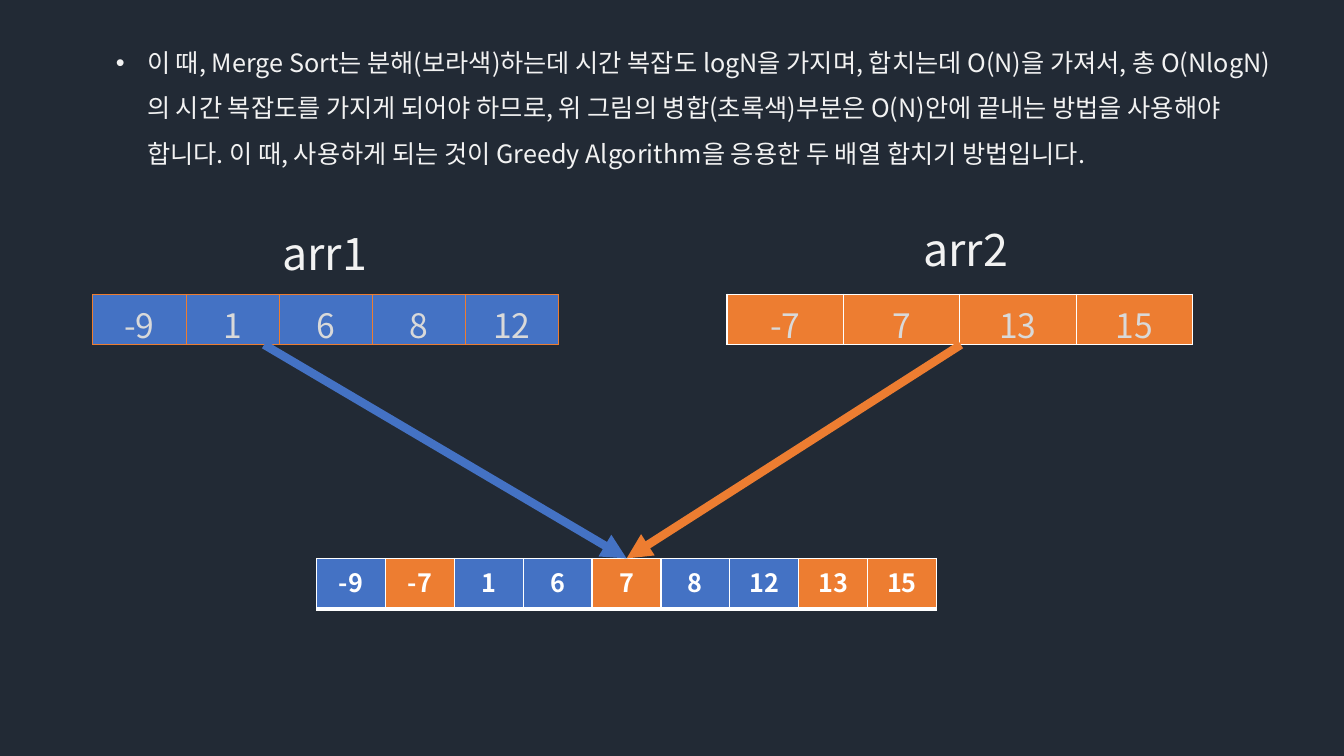
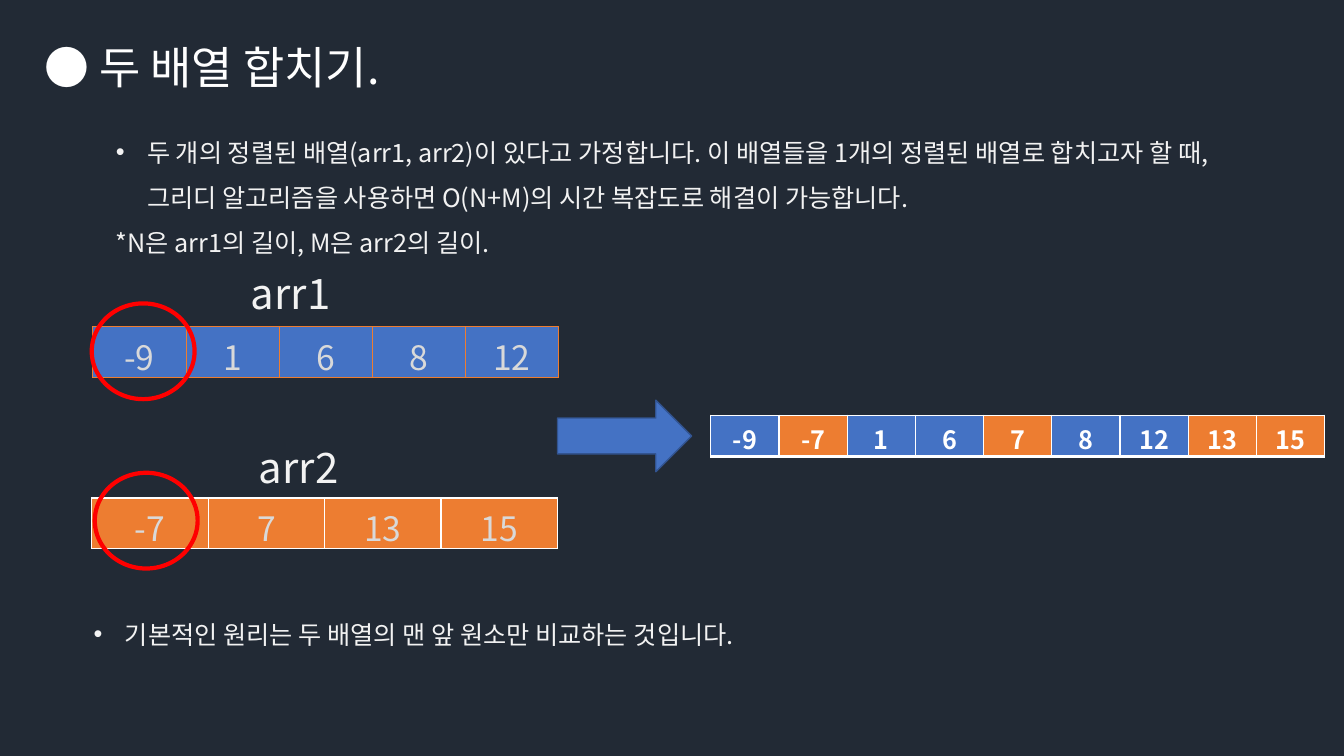
from dataclasses import dataclass

from lxml.etree import SubElement
from pptx import Presentation
from pptx.dml.color import RGBColor
from pptx.enum.shapes import MSO_CONNECTOR, MSO_SHAPE
from pptx.enum.text import MSO_ANCHOR, MSO_AUTO_SIZE, PP_ALIGN
from pptx.oxml import parse_xml
from pptx.oxml.ns import nsdecls, qn
from pptx.util import Inches, Pt


@dataclass(frozen=True)
class Theme:
    font: str = "Noto Sans CJK KR"
    background: str = "222A35"
    white: str = "FFFFFF"
    text: str = "F2F2F2"
    number: str = "D9D9D9"
    blue: str = "4472C4"
    dark_blue: str = "325491"
    orange: str = "ED7D31"
    red: str = "FF0000"
    title_size: int = 32
    number_size: int = 24
    body_size: int = 18


THEME = Theme()

# Content
ARR1 = [-9, 1, 6, 8, 12]
ARR2 = [-7, 7, 13, 15]
MERGED = sorted(ARR1 + ARR2)
TITLE = "● 두 배열 합치기."
COMPLEXITY = [
    ("이 때, Merge Sort는 분해(보라색)하는데 시간 복잡도 logN을 가지며, 합치는데 O(N)을 가져서, "
     "총 O(NlogN)의 시간 복잡도를 가지게 되어야 하므로, 위 그림의 병합(초록색)부분은 O(N)안에 "
     "끝내는 방법을 사용해야 합니다. 이 때, 사용하게 되는 것이 Greedy Algorithm을 응용한 "
     "두 배열 합치기 방법입니다.", True),
]
ASSUMPTION = [
    ("두 개의 정렬된 배열(arr1, arr2)이 있다고 가정합니다. 이 배열들을 1개의 정렬된 배열로 "
     "합치고자 할 때, 그리디 알고리즘을 사용하면 O(N+M)의 시간 복잡도로 해결이 가능합니다.", True),
    ("*N은 arr1의 길이, M은 arr2의 길이.", False),
]
PRINCIPLE = [("기본적인 원리는 두 배열의 맨 앞 원소만 비교하는 것입니다.", True)]

# Shared sizes, in inches
ARRAY_WIDTH, ARRAY_HEIGHT = 4.62, 0.5
BODY_WIDTH = 11.65
RING_SIZE = (1.02, 0.95)


def rgb(color):
    return RGBColor.from_string(color)


def box(*lengths):
    return [Inches(length) for length in lengths]


def style(paragraph, size, color, bold=False):
    font = paragraph.font
    font.size, font.bold, font.name = Pt(size), bold, THEME.font
    font.color.rgb = rgb(color)
    # East Asian glyphs take their own typeface
    SubElement(paragraph._p.pPr.find(qn("a:defRPr")), qn("a:ea"), typeface=THEME.font)


def add_bullet(paragraph):
    properties = paragraph._p.get_or_add_pPr()
    properties.set("marL", str(Inches(0.31)))
    properties.set("indent", str(-Inches(0.31)))
    SubElement(properties, qn("a:buFont"), typeface="Arial")
    SubElement(properties, qn("a:buChar"), char="•")


def add_text(slide, at, lines, size=THEME.body_size, spacing=1.5):
    frame = slide.shapes.add_textbox(*box(*at)).text_frame
    frame.word_wrap = True
    frame.auto_size = MSO_AUTO_SIZE.SHAPE_TO_FIT_TEXT
    for index, (line, bulleted) in enumerate(lines):
        paragraph = frame.add_paragraph() if index else frame.paragraphs[0]
        paragraph.text = line
        paragraph.line_spacing = spacing
        if bulleted:
            add_bullet(paragraph)
        style(paragraph, size, THEME.text)


def set_borders(cell, color, width, bottom):
    """Borders go before the fill in the cell properties."""
    properties = cell._tc.get_or_add_tcPr()
    for index, side in enumerate("LRTB"):
        points = bottom if side == "B" else width
        properties.insert(index, parse_xml(
            f'<a:ln{side} {nsdecls("a")} w="{Pt(points)}"><a:solidFill>'
            f'<a:srgbClr val="{color}"/></a:solidFill></a:ln{side}>'))


def add_array(slide, at, values, size, color, border, width, bottom, bold, anchor):
    table = slide.shapes.add_table(1, len(values), *box(*at)).table
    table.first_row = table.horz_banding = False
    for column, value in zip(table.columns, values):
        column.width = Inches(at[2] / len(values))
    for cell, value in zip(table.rows[0].cells, values):
        cell.margin_top, cell.margin_bottom = Inches(0.05), 0
        cell.vertical_anchor = anchor
        cell.fill.solid()
        cell.fill.fore_color.rgb = rgb(THEME.blue if value in ARR1 else THEME.orange)
        paragraph = cell.text_frame.paragraphs[0]
        paragraph.text = str(value)
        paragraph.alignment = PP_ALIGN.CENTER
        style(paragraph, size, color, bold)
        set_borders(cell, border, width, bottom)


def add_source_array(slide, left, top, values, border, width):
    add_array(slide, (left, top, ARRAY_WIDTH, ARRAY_HEIGHT), values, THEME.number_size,
              THEME.number, border, width, width, False, MSO_ANCHOR.MIDDLE)


def add_arr1(slide, left, top):
    add_source_array(slide, left, top, ARR1, THEME.orange, 0.5)


def add_arr2(slide, left, top):
    add_source_array(slide, left, top, ARR2, THEME.white, 1)


def add_merged(slide, at):
    add_array(slide, at, MERGED, THEME.body_size, THEME.white, THEME.white, 1, 3,
              True, MSO_ANCHOR.TOP)


def add_merge_arrow(slide, start, end, color):
    arrow = slide.shapes.add_connector(MSO_CONNECTOR.STRAIGHT, *box(*start, *end))
    arrow.line.color.rgb = rgb(color)
    arrow.line.width = Pt(6)
    SubElement(arrow.line._get_or_add_ln(), qn("a:tailEnd"), type="triangle")
    SubElement(arrow._element.spPr, qn("a:effectLst"))


def add_figure(slide, kind, at, line, width, fill=None):
    figure = slide.shapes.add_shape(kind, *box(*at))
    figure.shadow.inherit = False
    figure.line.color.rgb = rgb(line)
    figure.line.width = Pt(width)
    if fill:
        figure.fill.solid()
        figure.fill.fore_color.rgb = rgb(fill)
    else:
        figure.fill.background()


def set_title(slide, text):
    title = slide.shapes.title
    title.left, title.top, title.width, title.height = box(0.34, 0.34, 5.19, 0.64)
    frame = title.text_frame
    frame.vertical_anchor = MSO_ANCHOR.MIDDLE
    paragraph = frame.paragraphs[0]
    paragraph.text = text
    paragraph.alignment = PP_ALIGN.LEFT
    style(paragraph, THEME.title_size, THEME.white)


def build_complexity(slide):
    add_text(slide, (1.05, 0.27, BODY_WIDTH, 1.86), COMPLEXITY)
    array_top, merged_at = 2.92, (3.14, 5.54, 6.15, 0.5)
    add_arr1(slide, 0.92, array_top)
    add_arr2(slide, 7.21, array_top)
    add_text(slide, (2.7, 1.92, 1.07, 0.8), [("arr1", False)], 32)
    add_text(slide, (9.06, 1.88, 1.07, 0.8), [("arr2", False)], 32)
    add_merged(slide, merged_at)
    # Both arrows meet above the middle of the merged array
    meeting = (merged_at[0] + merged_at[2] / 2, merged_at[1])
    for left, color in ((2.62, THEME.blue), (9.53, THEME.orange)):
        add_merge_arrow(slide, (left, array_top + ARRAY_HEIGHT), meeting, color)


def build_merging(slide):
    set_title(slide, TITLE)
    add_text(slide, (1.05, 1.16, BODY_WIDTH, 1.41), ASSUMPTION)
    add_arr1(slide, 0.92, 3.24)
    add_text(slide, (2.39, 2.6, 1.67, 0.61), [("arr1", False)], 30, 1)
    add_arr2(slide, 0.91, 4.94)
    add_text(slide, (2.47, 4.33, 1.69, 0.61), [("arr2", False)], 30, 1)
    add_figure(slide, MSO_SHAPE.RIGHT_ARROW, (5.53, 3.97, 1.33, 0.71),
               THEME.dark_blue, 1, THEME.blue)
    add_merged(slide, (7.05, 4.12, 6.09, 0.41))
    add_text(slide, (0.83, 5.94, BODY_WIDTH, 0.5), PRINCIPLE)
    # Rings around the first elements
    for left, top in ((0.91, 3.01), (0.94, 4.69)):
        add_figure(slide, MSO_SHAPE.OVAL, (left, top, *RING_SIZE), THEME.red, 3)


def main():
    deck = Presentation()
    deck.slide_width, deck.slide_height = box(13.33, 7.5)
    background = deck.slide_master.background.fill
    background.solid()
    background.fore_color.rgb = rgb(THEME.background)
    title_only, blank = deck.slide_layouts[5], deck.slide_layouts[6]
    build_complexity(deck.slides.add_slide(blank))
    build_merging(deck.slides.add_slide(title_only))
    deck.save("out.pptx")


if __name__ == "__main__":
    main()
